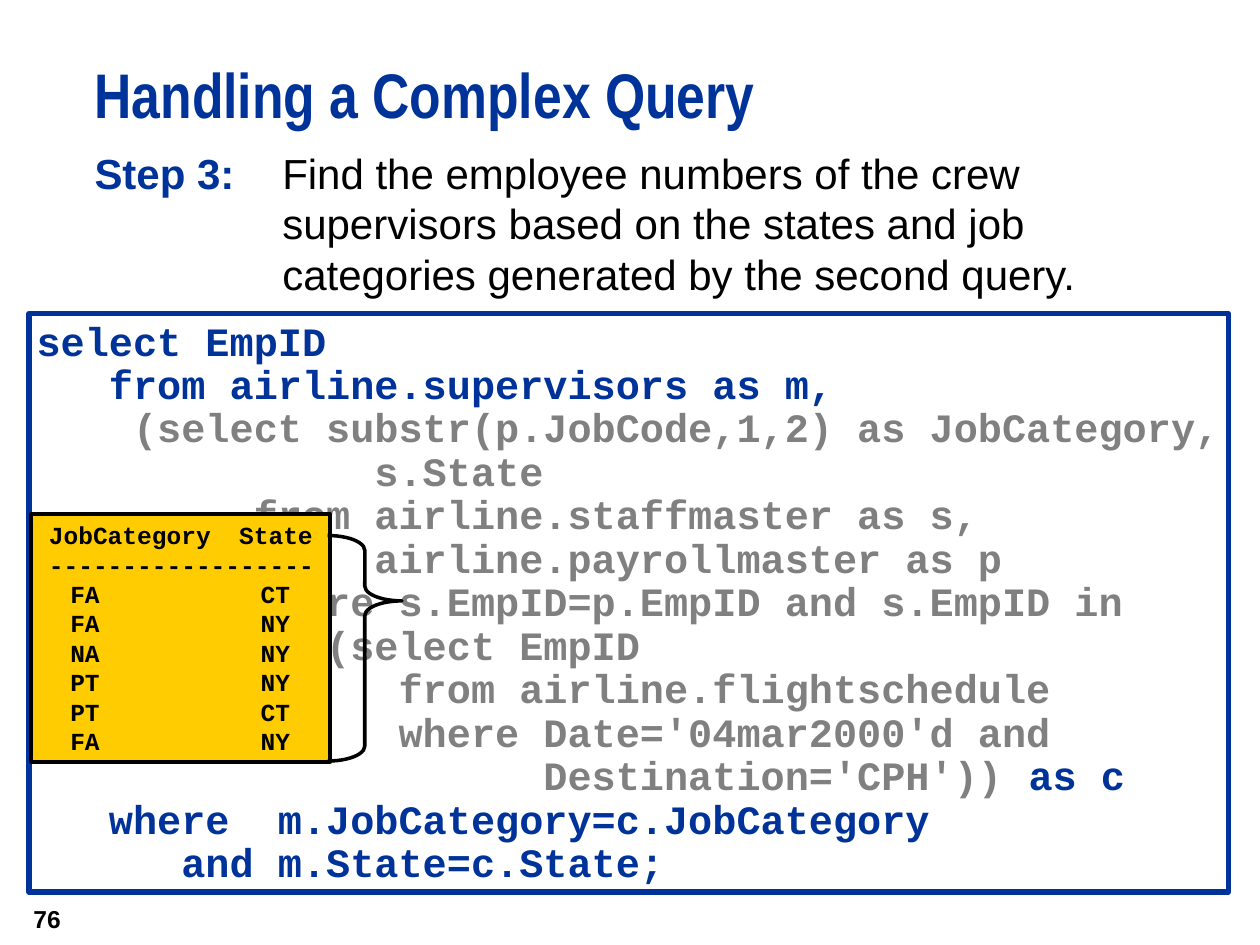
from dataclasses import dataclass

from lxml import etree
from pptx import Presentation
from pptx import util as u
from pptx.dml.color import RGBColor
from pptx.enum import shapes, text
from pptx.oxml.ns import qn


@dataclass(frozen=True)
class Theme:
    blue: str = "003399"
    black: str = "000000"
    gray: str = "808080"
    yellow: str = "FFCC01"
    white: str = "FFFFFF"
    heading: str = "Arial Narrow"
    body: str = "Arial"
    code: str = "Courier New"
    title_size: int = 36
    body_size: int = 24
    code_size: int = 23
    small_size: int = 14


THEME = Theme()

TITLE = "Handling a Complex Query"
STEP = "Step 3:"
STEP_TEXT = ("Find the employee numbers of the crew supervisors based on the "
             "states and job categories generated by the second query.")
PAGE_NUMBER = "76"

# Each code line is a list of (text, colour) runs.
QUERY = [
    [("select EmpID", THEME.blue)],
    [("   from airline.supervisors as m,", THEME.blue)],
    [("    (select substr(p.JobCode,1,2) as JobCategory,", THEME.gray)],
    [("              s.State", THEME.gray)],
    [("         from airline.staffmaster as s,", THEME.gray)],
    [("              airline.payrollmaster as p", THEME.gray)],
    [("         where s.EmpID=p.EmpID and s.EmpID in", THEME.gray)],
    [("            (select EmpID", THEME.gray)],
    [("               from airline.flightschedule", THEME.gray)],
    [("               where Date='04mar2000'd and", THEME.gray)],
    [("                     Destination='CPH')) ", THEME.gray), ("as c", THEME.blue)],
    [("   where  m.JobCategory=c.JobCategory", THEME.blue)],
    [("      and m.State=c.State;", THEME.blue)],
]

RESULT_HEADER = ("JobCategory", "State")
RESULT_RULE = "-" * 18
RESULT_ROWS = [("FA", "CT"), ("FA", "NY"), ("NA", "NY"),
               ("PT", "NY"), ("PT", "CT"), ("FA", "NY")]
HEADER_STOPS = (0.04, 1.55)
ROW_STOPS = (0.21, 1.72)


def add_span(para, words, font, size, color, bold=True):
    span = para.add_run()
    span.text = words
    span.font.name = font
    span.font.size = u.Pt(size)
    span.font.bold = bold
    span.font.color.rgb = RGBColor.from_string(color)


def set_frame(box, margins, wrap=True, anchor=text.MSO_ANCHOR.TOP):
    """Set insets (horizontal, vertical), wrapping and anchor; return the frame."""
    frame = box.text_frame
    frame.margin_left = frame.margin_right = u.Inches(margins[0])
    frame.margin_top = frame.margin_bottom = u.Inches(margins[1])
    frame.word_wrap = wrap
    frame.vertical_anchor = anchor
    return frame


def add_text_box(page, place, margins=(0, 0), anchor=text.MSO_ANCHOR.TOP):
    box = page.shapes.add_textbox(*map(u.Inches, place))
    return set_frame(box, margins, anchor=anchor).paragraphs[0]


def add_outline(page, kind, place, line, width, fill=None):
    shape = page.shapes.add_shape(kind, *map(u.Inches, place))
    shape.shadow.inherit = False
    if fill:
        shape.fill.solid()
        shape.fill.fore_color.rgb = RGBColor.from_string(fill)
    else:
        shape.fill.background()
    shape.line.color.rgb = RGBColor.from_string(line)
    shape.line.width = u.Pt(width)
    return shape


def paragraphs_for(frame, items):
    """Pair each item with its own left-aligned paragraph."""
    for index, item in enumerate(items):
        para = frame.add_paragraph() if index else frame.paragraphs[0]
        para.alignment = text.PP_ALIGN.LEFT
        yield para, item


def add_tab_stops(para, stops):
    tabs = etree.SubElement(para._p.get_or_add_pPr(), qn("a:tabLst"))
    for stop in stops:
        etree.SubElement(tabs, qn("a:tab"), pos=str(u.Inches(stop)), algn="l")


def add_query(page):
    box = add_outline(page, shapes.MSO_SHAPE.RECTANGLE, (0.23, 2.49, 9.52, 4.59),
                      THEME.blue, 3, THEME.white)
    frame = set_frame(box, (0.06, 0.06), wrap=False)
    for para, spans in paragraphs_for(frame, QUERY):
        para.line_spacing = 0.9
        for words, color in spans:
            add_span(para, words, THEME.code, THEME.code_size, color)


def add_heading(page):
    para = add_text_box(page, (0.75, 0.5, 9.25, 0.75))
    para.line_spacing = u.Pt(39)
    add_span(para, TITLE, THEME.heading, THEME.title_size, THEME.blue)


def add_step(page):
    para = add_text_box(page, (0.75, 1.17, 8.58, 1.25))
    hanging = u.Inches(1.49)
    properties = para._p.get_or_add_pPr()
    properties.set("marL", str(hanging))
    properties.set("indent", str(-hanging))
    add_span(para, STEP + "\t", THEME.body, THEME.body_size, THEME.blue)
    add_span(para, STEP_TEXT, THEME.body, THEME.body_size, THEME.black, bold=False)


def add_result(page):
    box = add_outline(page, shapes.MSO_SHAPE.RECTANGLE, (0.25, 4.08, 2.37, 1.97),
                      THEME.black, 2.25, THEME.yellow)
    frame = set_frame(box, (0.1, 0.05))
    lines = [(RESULT_HEADER, HEADER_STOPS), ((RESULT_RULE,), HEADER_STOPS)]
    lines += [(row, ROW_STOPS) for row in RESULT_ROWS]
    for para, (cells, stops) in paragraphs_for(frame, lines):
        add_tab_stops(para, stops)
        words = "".join("\t" + cell for cell in cells)
        add_span(para, words, THEME.code, THEME.small_size, THEME.black)

    brace = add_outline(page, shapes.MSO_SHAPE.RIGHT_BRACE, (2.6, 4.25, 0.59, 1.79),
                        THEME.black, 2)
    brace.adjustments[0] = 0.2
    brace.adjustments[1] = 0.29


def add_page_number(page):
    para = add_text_box(page, (0, 7.08, 0.58, 0.42), (0.1, 0.05), text.MSO_ANCHOR.MIDDLE)
    para.alignment = text.PP_ALIGN.RIGHT
    add_span(para, PAGE_NUMBER, THEME.body, THEME.small_size, THEME.black)


def main():
    deck = Presentation()
    deck.slide_width, deck.slide_height = u.Inches(10), u.Inches(7.5)
    page = deck.slides.add_slide(deck.slide_layouts[6])
    add_query(page)
    add_heading(page)
    add_step(page)
    add_result(page)
    add_page_number(page)
    deck.save("out.pptx")


if __name__ == "__main__":
    main()
